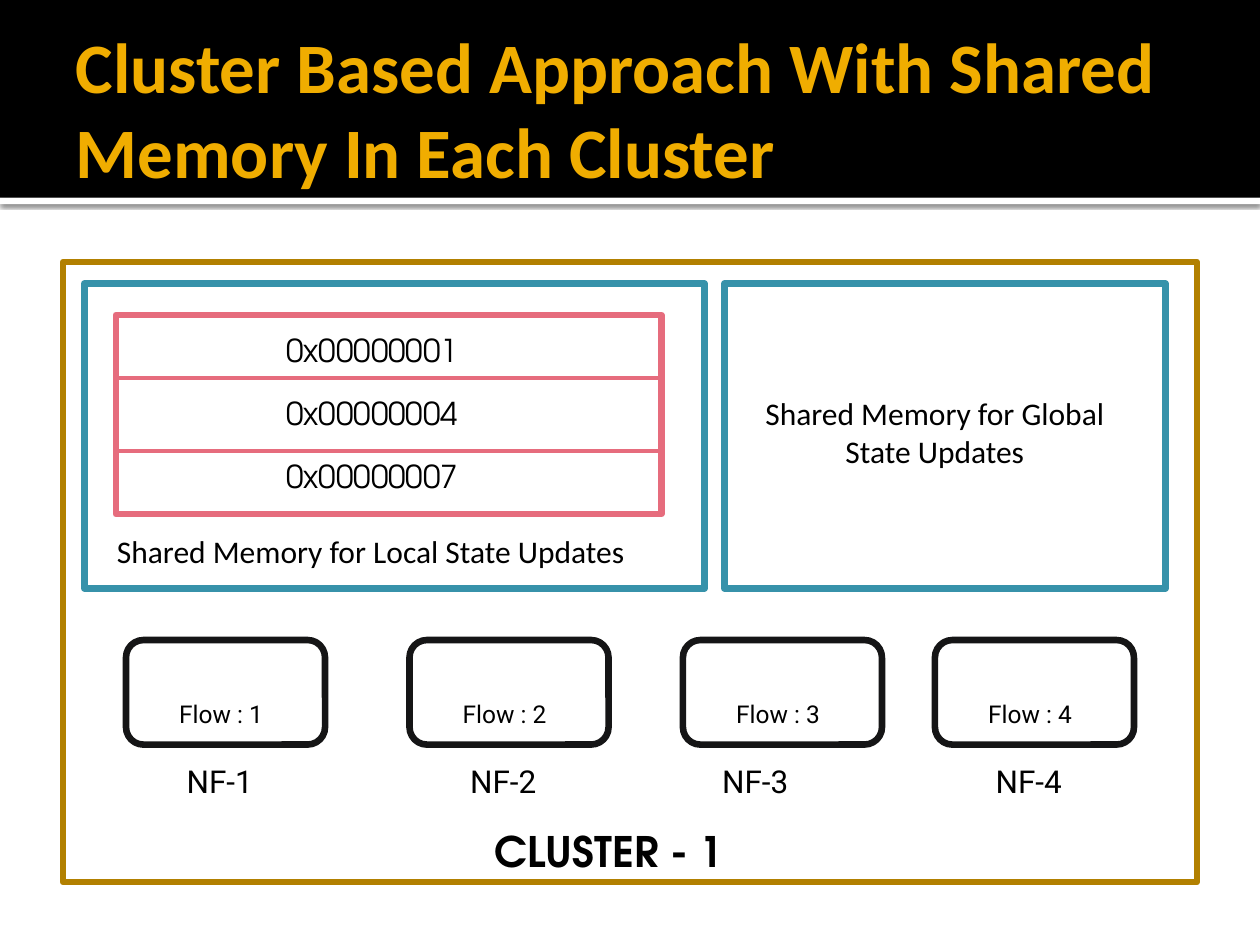
from lxml import etree
from pptx import Presentation
from pptx.dml.color import RGBColor
from pptx.enum.shapes import MSO_CONNECTOR, MSO_SHAPE
from pptx.enum.text import MSO_ANCHOR, MSO_AUTO_SIZE, PP_ALIGN
from pptx.oxml import parse_xml
from pptx.oxml.ns import nsdecls, qn
from pptx.util import Inches, Pt

BLACK = RGBColor(0x00, 0x00, 0x00)
WHITE = RGBColor(0xFF, 0xFF, 0xFF)
AMBER = RGBColor(0xF0, 0xAD, 0x00)
GOLD = RGBColor(0xB2, 0x80, 0x00)
TEAL = RGBColor(0x37, 0x92, 0xAA)
PINK = RGBColor(0xE6, 0x6C, 0x7D)
INK = RGBColor(0x15, 0x15, 0x16)

BODY, LABEL, DISPLAY = "Calibri", "Roboto", "TeX Gyre Adventor"

BAR_SHADOW = (
    f'<a:effectLst {nsdecls("a")}>'
    '<a:outerShdw blurRad="31750" dist="10160" dir="5400000" algn="tl" rotWithShape="0">'
    '<a:srgbClr val="000000"><a:alpha val="60000"/></a:srgbClr>'
    '</a:outerShdw></a:effectLst>'
)


class SlideBuilder:
    """Draws the elements of one slide in a shared style."""

    frame_width = 3.78
    rule_width = 2.5

    def __init__(self, slide):
        self.slide = slide
        self.shapes = slide.shapes

    def add_run(self, p, text, size, font, color=BLACK, bold=False):
        r = p.add_run()
        r.text = text
        r.font.size = Pt(size)
        r.font.name = font
        r.font.bold = bold
        r.font.color.rgb = color

    def band(self, top, height, color):
        sp = self.shapes.add_shape(MSO_SHAPE.RECTANGLE, 0, Inches(top),
                                   Inches(10), Inches(height))
        sp.shadow.inherit = False
        sp.fill.solid()
        sp.fill.fore_color.rgb = color
        sp.line.fill.background()
        return sp

    def title(self, text, left, top, width, height):
        sp = self.shapes.title
        sp.left, sp.top = Inches(left), Inches(top)
        sp.width, sp.height = Inches(width), Inches(height)
        self.shapes._spTree.append(sp._element)  # in front of the bands
        tf = sp.text_frame
        tf.word_wrap = True
        tf.auto_size = MSO_AUTO_SIZE.NONE
        tf.vertical_anchor = MSO_ANCHOR.MIDDLE
        tf.margin_left = Inches(0.1)
        tf.margin_right = tf.margin_top = tf.margin_bottom = Inches(0.05)
        p = tf.paragraphs[0]
        p.alignment = PP_ALIGN.LEFT
        self.add_run(p, text, 40.5, BODY, AMBER, bold=True)

    def frame(self, left, top, width, height, color, kind=MSO_SHAPE.RECTANGLE):
        sp = self.shapes.add_shape(kind, Inches(left), Inches(top),
                                   Inches(width), Inches(height))
        sp.shadow.inherit = False
        sp.fill.background()
        sp.line.color.rgb = color
        sp.line.width = Pt(self.frame_width)

    def rule(self, left, right, y, color):
        line = self.shapes.add_connector(MSO_CONNECTOR.STRAIGHT, Inches(left), Inches(y),
                                         Inches(right), Inches(y))
        line.line.color.rgb = color
        line.line.width = Pt(self.rule_width)
        etree.SubElement(line._element.spPr, qn("a:effectLst"))

    def text(self, text, left, top, width, height, size=18, font=BODY,
             align=PP_ALIGN.CENTER, bold=False):
        box = self.shapes.add_textbox(Inches(left), Inches(top),
                                      Inches(width), Inches(height))
        tf = box.text_frame
        tf.word_wrap = True
        tf.auto_size = MSO_AUTO_SIZE.SHAPE_TO_FIT_TEXT
        p = tf.paragraphs[0]
        p.alignment = align
        self.add_run(p, text, size, font, bold=bold)


def main():
    prs = Presentation()
    prs.slide_width, prs.slide_height = Inches(10), Inches(7.5)
    b = SlideBuilder(prs.slides.add_slide(prs.slide_layouts[5]))

    # Header
    bar = b.band(1.57, 0.05, WHITE)
    bar_pr = bar._element.spPr
    bar_pr.replace(bar_pr.find(qn("a:effectLst")), parse_xml(BAR_SHADOW))
    b.band(0, 1.57, BLACK)
    b.title("Cluster Based Approach With Shared Memory In Each Cluster", 0.5, 0.17, 9, 1.37)

    # Cluster and its two shared memories
    b.frame(0.5, 2.08, 9, 4.92, GOLD)
    b.frame(0.67, 2.25, 4.92, 2.42, TEAL)
    b.frame(5.75, 2.25, 3.5, 2.42, TEAL)
    b.text("Shared Memory for Local State Updates", 0.83, 4.17, 4.67, 0.4,
           align=PP_ALIGN.LEFT)
    b.text("Shared Memory for Global State Updates", 5.92, 3.08, 3, 0.71)

    # Local memory addresses
    b.frame(0.92, 2.5, 4.33, 1.58, PINK)
    for y in (3, 3.58):
        b.rule(0.92, 5.25, y, PINK)
    for i, address in enumerate(("0x00000001", "0x00000004", "0x00000007")):
        b.text(address, 1.58, 2.58 + 0.5 * i, 2.75, 0.4, font=DISPLAY)

    # Network functions: box left edge, name left edge
    functions = ((1, 1.08), (3.25, 3.33), (5.42, 5.33), (7.42, 7.5))
    for n, (left, name_left) in enumerate(functions, start=1):
        b.frame(left, 5.08, 1.58, 0.83, INK, MSO_SHAPE.ROUNDED_RECTANGLE)
        b.text(f"Flow : {n}", left - 0.33, 5.5, 2.17, 0.34, size=14, font=LABEL)
        b.text(f"NF-{n}", name_left, 6, 1.33, 0.4, font=LABEL)

    # Cluster name
    b.text("CLUSTER - 1", 3.83, 6.5, 2.58, 0.5, size=24, font=DISPLAY,
           align=PP_ALIGN.LEFT, bold=True)

    prs.save("out.pptx")


if __name__ == "__main__":
    main()
